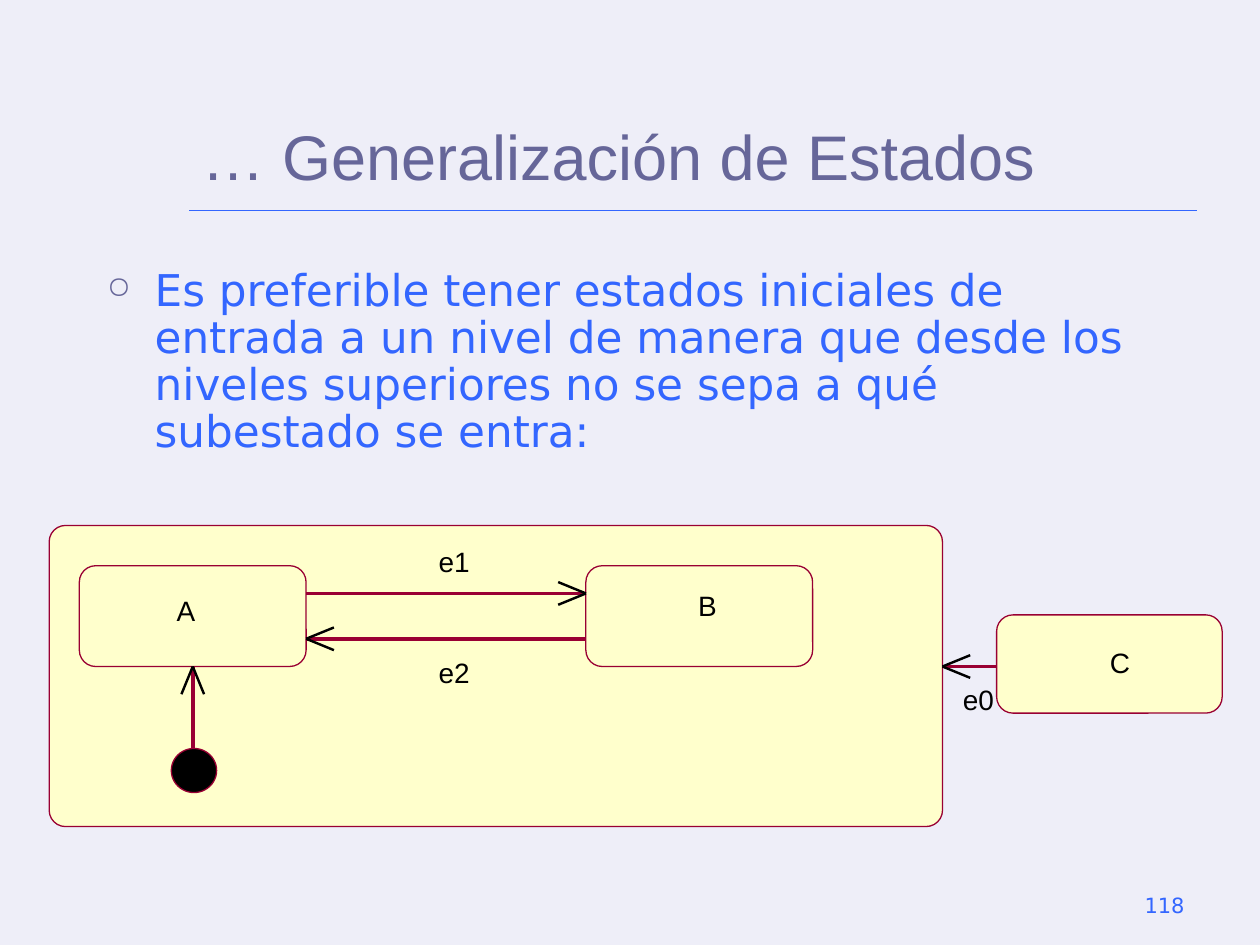
from math import hypot

from lxml.etree import SubElement
from pptx import Presentation
from pptx.dml.color import RGBColor
from pptx.enum.shapes import MSO_CONNECTOR, MSO_SHAPE
from pptx.enum.text import MSO_ANCHOR, PP_ALIGN
from pptx.oxml.ns import qn
from pptx.util import Inches, Pt

BACKGROUND, BLUE, VIOLET = "EEEEF8", "3366FF", "666699"
YELLOW, CRIMSON, BLACK = "FFFFCC", "990033", "000000"
SANS, BODY_FONT = "Arial", "DejaVu Sans"

TITLE = "… Generalización de Estados"
BODY = ("Es preferible tener estados iniciales de entrada a un nivel de manera que "
        "desde los niveles superiores no se sepa a qué subestado se entra:")
PAGE_NUMBER = "118"

STATES = [
    (7.91, 4.88, 1.79, 0.78, 0.13),
    (0.39, 4.17, 7.09, 2.39, 0.13),
    (0.63, 4.49, 1.8, 0.8, 0.13),
    (4.65, 4.49, 1.8, 0.8, 0.13),
]
INITIAL_STATE = (1.36, 5.94, 0.36, 0.35)
TRANSITIONS = [
    ((2.43, 4.71), (4.65, 4.71)),
    ((4.65, 5.07), (2.43, 5.07)),
    ((1.53, 5.94), (1.53, 5.29)),
    ((7.91, 5.29), (7.48, 5.29)),
]
LABELS = [
    ("A", 1.4, 4.71, 0.15),
    ("B", 5.54, 4.67, 0.15),
    ("C", 8.81, 5.12, 0.16),
    ("e1", 3.48, 4.32, 0.25),
    ("e2", 3.48, 5.2, 0.25),
    ("e0", 7.64, 5.42, 0.25),
]
LABEL_HEIGHT = 0.27
BARB_LENGTH, BARB_SPREAD = 0.22, 0.09


def color(value):
    return RGBColor.from_string(value)


def write(box, text, size, font, value, align=PP_ALIGN.LEFT, anchor=MSO_ANCHOR.TOP):
    frame = box.text_frame
    frame.text = text
    frame.vertical_anchor = anchor
    para = frame.paragraphs[0]
    para.alignment = align
    span = para.runs[0]
    span.font.size = Pt(size)
    span.font.name = font
    span.font.color.rgb = color(value)
    return para


def add_text(page, bounds, *style, wrap=True, margin=None, **placement):
    box = page.shapes.add_textbox(*map(Inches, bounds))
    frame = box.text_frame
    frame.word_wrap = wrap
    if margin is not None:
        frame.margin_left = frame.margin_right = Inches(margin)
        frame.margin_top = frame.margin_bottom = Inches(margin)
    return write(box, *style, **placement)


def add_bullet(para, char, value, percent, indent):
    properties = para._p.get_or_add_pPr()
    properties.set("marL", str(Inches(indent)))
    properties.set("indent", str(-Inches(indent)))
    SubElement(SubElement(properties, qn("a:buClr")), qn("a:srgbClr"), val=value)
    SubElement(properties, qn("a:buSzPct"), val=str(percent * 1000))
    SubElement(properties, qn("a:buChar"), char=char)


def add_shape(page, kind, bounds, fill):
    shape = page.shapes.add_shape(kind, *map(Inches, bounds))
    shape.shadow.inherit = False
    shape.fill.solid()
    shape.fill.fore_color.rgb = color(fill)
    shape.line.color.rgb = color(CRIMSON)
    shape.line.width = Pt(0)
    return shape


def add_line(page, start, end, value, width):
    line = page.shapes.add_connector(
        MSO_CONNECTOR.STRAIGHT, *map(Inches, (*start, *end)))
    line.line.color.rgb = color(value)
    line.line.width = Pt(width)
    SubElement(line._element.spPr, qn("a:effectLst"))


def add_transition(page, start, tip):
    add_line(page, start, tip, CRIMSON, 0)
    back_x, back_y = start[0] - tip[0], start[1] - tip[1]
    length = hypot(back_x, back_y)
    back_x, back_y = back_x / length, back_y / length
    for side in (-BARB_SPREAD, BARB_SPREAD):
        barb = (tip[0] + back_x * BARB_LENGTH - back_y * side,
                tip[1] + back_y * BARB_LENGTH + back_x * side)
        add_line(page, tip, barb, BLACK, 1.39)


def main():
    deck = Presentation()
    deck.slide_width, deck.slide_height = Inches(10), Inches(7.5)
    page = deck.slides.add_slide(deck.slide_layouts[5])
    page.background.fill.solid()
    page.background.fill.fore_color.rgb = color(BACKGROUND)

    title = page.shapes.title
    title.left, title.top, title.width, title.height = map(Inches, (1.5, 0.33, 8, 1.25))
    write(title, TITLE, 36, SANS, VIOLET, anchor=MSO_ANCHOR.BOTTOM)
    add_line(page, (1.5, 1.67), (9.5, 1.67), BLUE, 1)

    para = add_text(page, (0.75, 2.08, 8.5, 4.77), BODY, 25, BODY_FONT, BLUE)
    add_bullet(para, "○", VIOLET, 70, 0.38)
    para.line_spacing = 0.9
    add_text(page, (7.17, 6.83, 2.33, 0.5), PAGE_NUMBER, 12, BODY_FONT, BLUE,
             align=PP_ALIGN.RIGHT, anchor=MSO_ANCHOR.BOTTOM)

    for *bounds, radius in STATES:
        state = add_shape(page, MSO_SHAPE.ROUNDED_RECTANGLE, bounds, YELLOW)
        state.adjustments[0] = radius / bounds[3]
    add_shape(page, MSO_SHAPE.OVAL, INITIAL_STATE, BLACK)
    for start, tip in TRANSITIONS:
        add_transition(page, start, tip)
    for text, left, top, width in LABELS:
        add_text(page, (left, top, width, LABEL_HEIGHT), text, 16, SANS, BLACK,
                 wrap=False, margin=0, align=PP_ALIGN.CENTER)

    deck.save("out.pptx")


if __name__ == "__main__":
    main()
